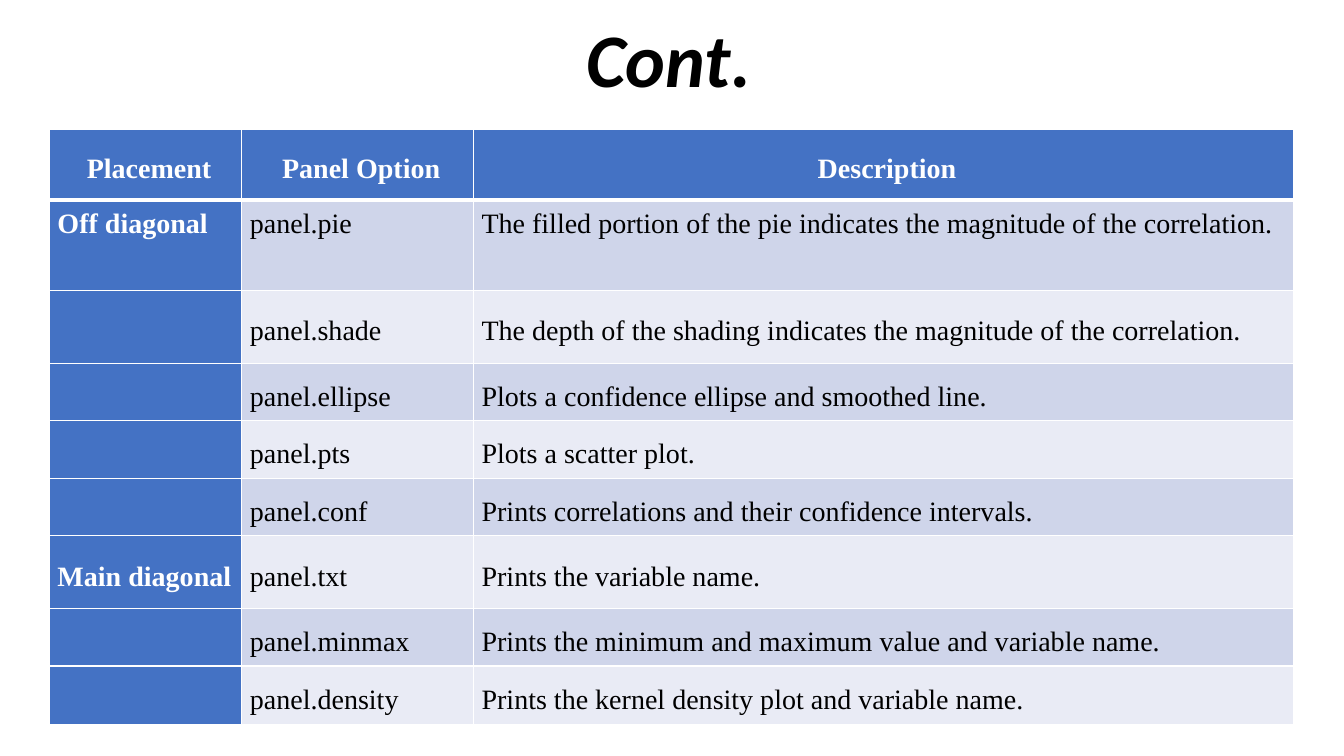
from lxml import etree
from pptx import Presentation
from pptx.dml.color import RGBColor
from pptx.enum.text import MSO_ANCHOR, MSO_AUTO_SIZE, PP_ALIGN
from pptx.oxml.ns import qn
from pptx.util import Inches, Pt

TOP, MIDDLE, BOTTOM = MSO_ANCHOR.TOP, MSO_ANCHOR.MIDDLE, MSO_ANCHOR.BOTTOM
LEFT, CENTER = PP_ALIGN.LEFT, PP_ALIGN.CENTER
NO_FIT = MSO_AUTO_SIZE.NONE

BLACK = RGBColor(0x00, 0x00, 0x00)
WHITE = RGBColor(0xFF, 0xFF, 0xFF)
BLUE = RGBColor(0x44, 0x72, 0xC4)
BANDS = (RGBColor(0xE9, 0xEB, 0xF5), RGBColor(0xCF, 0xD5, 0xEA))

COLS = (1.91, 2.3, 8.14)
ROWS = (0.7, 0.9, 0.72, 0.57, 0.57, 0.57, 0.72, 0.57, 0.58)
PANELS = (
    ("Placement", "Panel Option", "Description"),
    ("Off diagonal", "panel.pie",
     "The filled portion of the pie indicates the magnitude of the correlation."),
    ("", "panel.shade",
     "The depth of the shading indicates the magnitude of the correlation."),
    ("", "panel.ellipse", "Plots a confidence ellipse and smoothed line."),
    ("", "panel.pts", "Plots a scatter plot."),
    ("", "panel.conf", "Prints correlations and their confidence intervals."),
    ("Main diagonal", "panel.txt", "Prints the variable name."),
    ("", "panel.minmax",
     "Prints the minimum and maximum value and variable name."),
    ("", "panel.density", "Prints the kernel density plot and variable name."),
)


def write(tf, text, font="Times New Roman", size=20, color=BLACK, bold=False,
          italic=False, align=LEFT, spacing=1.07):
    p = tf.paragraphs[0]
    p.alignment, p.line_spacing = align, spacing
    r = p.add_run()
    r.text = text
    f = r.font
    f.name, f.size, f.bold, f.italic = font, Pt(size), bold, italic
    f.color.rgb = color


def set_borders(cell, **widths):
    """Draw white cell edges, with widths in points by side: L, R, T, B."""
    tcPr = cell._tc.get_or_add_tcPr()
    for side, width in widths.items():
        ln = etree.SubElement(tcPr, qn(f"a:ln{side}"), w=str(Pt(width)))
        fill = etree.SubElement(ln, qn("a:solidFill"))
        etree.SubElement(fill, qn("a:srgbClr"), val=str(WHITE))


def add_title(s, text, x, y, w, h):
    sp = s.shapes.title
    sp.left, sp.top, sp.width, sp.height = map(Inches, (x, y, w, h))
    tf = sp.text_frame
    tf.word_wrap, tf.auto_size, tf.vertical_anchor = True, NO_FIT, BOTTOM
    write(tf, text, font="Calibri", size=54, bold=True, italic=True,
          align=CENTER, spacing=0.9)


def add_panel_table(s, x, y, w, h):
    table = s.shapes.add_table(len(ROWS), len(COLS),
                               *map(Inches, (x, y, w, h))).table
    # Columns and rows share the box in proportion
    for column, share in zip(table.columns, COLS):
        column.width = Inches(w * share / sum(COLS))
    for row, share in zip(table.rows, ROWS):
        row.height = Inches(h * share / sum(ROWS))

    for i, texts in enumerate(PANELS):
        for j, text in enumerate(texts):
            cell = table.cell(i, j)
            heading = i == 0 or j == 0
            # Thick rule below the header row
            set_borders(cell, L=1, R=1, T=3 if i == 1 else 1,
                        B=3 if i == 0 else 1)
            cell.fill.solid()
            cell.fill.fore_color.rgb = BLUE if heading else BANDS[i % 2]
            cell.margin_left, cell.margin_top = Inches(0.08), Inches(0.07)
            cell.margin_right, cell.margin_bottom = Inches(0.01), 0
            cell.vertical_anchor = TOP if i == 1 else MIDDLE
            if text:
                write(cell.text_frame, text, bold=heading,
                      color=WHITE if heading else BLACK,
                      align=CENTER if i == 0 else LEFT)


def main():
    prs = Presentation()
    prs.slide_width, prs.slide_height = Inches(13.33), Inches(7.5)
    s = prs.slides.add_slide(prs.slide_layouts[5])
    add_panel_table(s, 0.49, 1.28, 12.34, 5.91)
    add_title(s, "Cont. ", 0.27, 0.19, 12.9, 0.89)
    prs.save("out.pptx")


if __name__ == "__main__":
    main()
